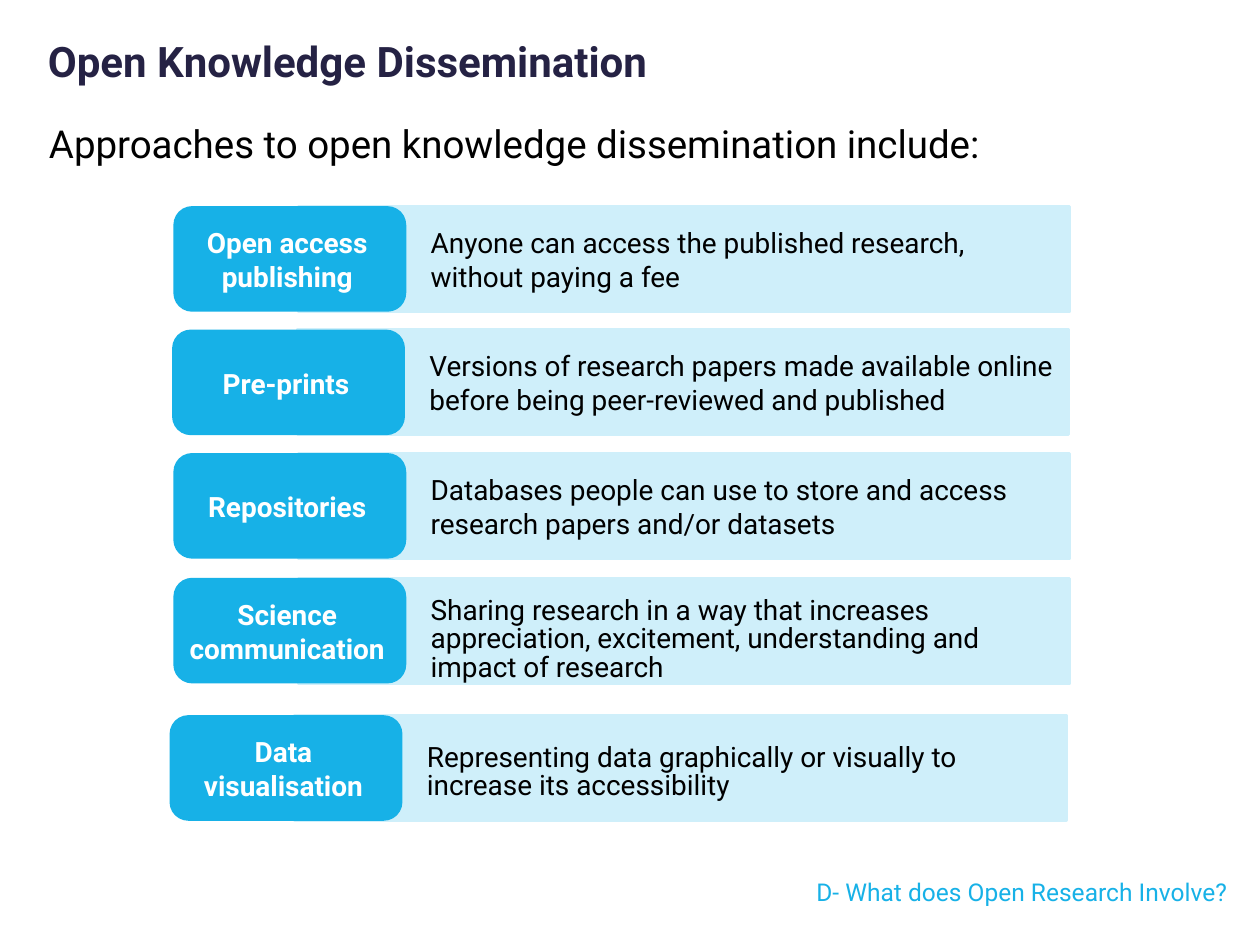
"""Build the slide on ways to share open knowledge."""
from dataclasses import dataclass

from pptx import Presentation
from pptx.dml.color import RGBColor
from pptx.enum.shapes import MSO_SHAPE
from pptx.enum.text import MSO_ANCHOR, PP_ALIGN
from pptx.shapes.autoshape import Shape
from pptx.shapes.shapetree import GroupShapes, SlideShapes
from pptx.util import Inches, Pt

NAVY = RGBColor(0x25, 0x22, 0x44)
BLUE = RGBColor(0x17, 0xB1, 0xE7)
PALE = RGBColor(0xCF, 0xEF, 0xFA)
BLACK = RGBColor(0, 0, 0)
WHITE = RGBColor(0xFF, 0xFF, 0xFF)
FONT = "Roboto"
RECT, ROUND = MSO_SHAPE.RECTANGLE, MSO_SHAPE.ROUNDED_RECTANGLE
LEFT, CENTER, RIGHT = PP_ALIGN.LEFT, PP_ALIGN.CENTER, PP_ALIGN.RIGHT
TOP, MIDDLE = MSO_ANCHOR.TOP, MSO_ANCHOR.MIDDLE


@dataclass
class Row:
    label: str
    detail: str
    left: float
    top: float
    drop: float = 0.05
    width: float = 5.17
    high: float = 0.74
    line: float = 1.0


ROWS = [
    Row("Open access publishing",
        "Anyone can access the published research, without paying a fee",
        1.39, 1.64, width=4.98),
    Row("Pre-prints",
        "Versions of research papers made available online before being "
        "peer-reviewed and published", 1.38, 2.62),
    Row("Repositories",
        "Databases people can use to store and access research papers "
        "and/or datasets", 1.39, 3.6),
    Row("Science communication",
        "Sharing research in a way that increases appreciation, excitement, "
        "understanding and impact of research",
        1.39, 4.59, high=0.89, line=0.85),
    Row("Data visualisation",
        "Representing data graphically or visually to increase its "
        "accessibility", 1.36, 5.68, drop=0.13, high=0.66, line=0.85),
]


def write(shape: Shape, text: str, *, size: int = 16, color: RGBColor = BLACK,
          bold: bool = False, align: PP_ALIGN = LEFT, anchor: MSO_ANCHOR = TOP,
          line: float = 1.0, before: int = 0, inset: float = 0.05) -> None:
    frame = shape.text_frame
    frame.word_wrap = True
    frame.vertical_anchor = anchor
    frame.margin_left = frame.margin_right = Inches(0.1)
    frame.margin_top = frame.margin_bottom = Inches(inset)
    para = frame.paragraphs[0]
    para.alignment = align
    para.line_spacing = line
    para.space_before = Pt(before)
    run = para.add_run()
    run.text = text
    font = run.font
    font.name, font.size, font.bold = FONT, Pt(size), bold
    font.color.rgb = color


def add_text(shapes: SlideShapes | GroupShapes, left: float, top: float,
             width: float, high: float) -> Shape:
    return shapes.add_textbox(*map(Inches, (left, top, width, high)))


def add_box(shapes: GroupShapes, kind: MSO_SHAPE, left: float, top: float,
            width: float, high: float, color: RGBColor) -> None:
    box = shapes.add_shape(kind, *map(Inches, (left, top, width, high)))
    box.shadow.inherit = False
    box.fill.solid()
    box.fill.fore_color.rgb = color
    box.line.color.rgb = color
    box.line.width = Pt(2)


def add_row(shapes: SlideShapes, row: Row) -> None:
    group = shapes.add_group_shape().shapes
    left, top = row.left, row.top
    add_box(group, RECT, left + 0.98, top, 6.12, 0.83, PALE)
    add_box(group, ROUND, left, top + 0.01, 1.82, 0.81, BLUE)
    detail = add_text(group, left + 1.93, top + row.drop, row.width, row.high)
    write(detail, row.detail, line=row.line, inset=0.1)
    label = add_text(group, left - 0.06, top + 0.05, 1.9, 0.74)
    write(label, row.label, color=WHITE, bold=True, align=CENTER,
          anchor=MIDDLE, inset=0.1)


def main() -> None:
    deck = Presentation()
    deck.slide_width, deck.slide_height = Inches(10), Inches(7.5)
    slide = deck.slides.add_slide(deck.slide_layouts[5])
    shapes = slide.shapes
    title = shapes.title
    title.left, title.top = Inches(0.28), Inches(0.28)
    title.width, title.height = Inches(9.43), Inches(0.88)
    write(title, "Open Knowledge Dissemination", size=24, color=NAVY,
          bold=True, line=0.9)
    write(add_text(shapes, 0.29, 0.85, 8.95, 0.7),
          "Approaches to open knowledge dissemination include:",
          size=22, line=1.15, before=10)
    for row in ROWS:
        add_row(shapes, row)
    write(add_text(shapes, 5, 6.94, 4.84, 0.38),
          "D- What does Open Research Involve?",
          size=14, color=BLUE, align=RIGHT, line=0.9)
    deck.save("out.pptx")


if __name__ == "__main__":
    main()
